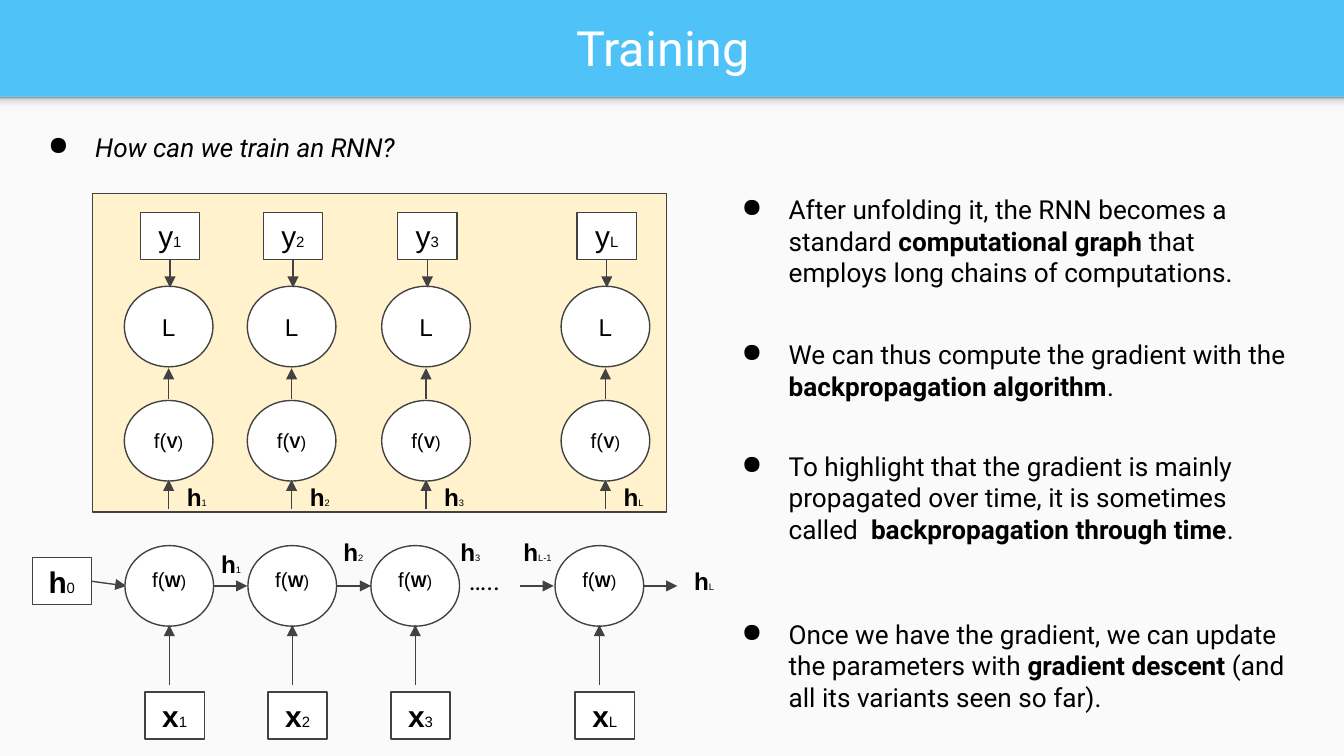
from lxml import etree
from pptx import Presentation
from pptx.dml.color import RGBColor
from pptx.enum.shapes import MSO_CONNECTOR, MSO_SHAPE
from pptx.enum.text import MSO_ANCHOR as Anchor, PP_ALIGN as Align
from pptx.oxml import parse_xml
from pptx.oxml.ns import nsdecls, qn
from pptx.util import Inches, Pt

CELL = Inches(0.1)  # the slide is a grid of 100 columns by 56.25 rows
COLUMNS, ROWS = 100, 56.25
COLORS = {"sky": "4FC3F7", "paper": "FAFAFA", "panel": "FFF2CC",
          "line": "424242", "white": "FFFFFF", "black": "000000"}
SHADE = [(0, "F9F9F9"), (36, "F9F9F9"), (80, "DEDEDE"), (100, "999999")]
BOTTOM, RIGHT = 2, 3

STEPS = ["1", "2", "3", "L"]
HIDDEN_CENTERS = [12.6, 21.75, 30.9, 44.6]
LOSS_CENTERS = [12.55, 21.7, 31.7, 45.05]
STATE_LABELS = [("1", 15, 39.9), ("2", 24.1, 39), ("3", 32.8, 39),
                ("L-1", 37.8, 39), ("L", 50.2, 41.1)]
NODE_WIDTH, NODE_HEIGHT = 6.6, 6
BOX_WIDTH, BOX_HEIGHT = 4.4, 3.5
HIDDEN_TOP, LOSS_TOP, OUTPUT_TOP = 40.6, 21.3, 29.8
HIDDEN_MIDDLE = HIDDEN_TOP + NODE_HEIGHT / 2

POINTS = [
    (13.4, "After unfolding it, the RNN becomes a standard",
     " computational graph", " that employs long chains of computations."),
    (24.2, "We can thus compute the gradient with the ",
     "backpropagation algorithm", "."),
    (32.5, "To highlight that the gradient is mainly propagated over time, "
     "it is sometimes called  ", "backpropagation through time", "."),
    (45, "Once we have the gradient, we can update the parameters with ",
     "gradient descent", " (and all its variants seen so far)."),
]


def grid(*cells):
    return [round(cell * CELL) for cell in cells]


def color(name):
    return RGBColor.from_string(COLORS[name])


def add_block(slide, preset, place, fill, outlined=True):
    block = slide.shapes.add_shape(preset, *grid(*place))
    block.shadow.inherit = False
    block.fill.solid()
    block.fill.fore_color.rgb = color(fill)
    if outlined:
        block.line.color.rgb = color("line")
        block.line.width = Pt(0.75)
    else:
        block.line.fill.background()
    return block


def write(shape, spans, font="Arial", ink="black", align=Align.CENTER,
          anchor=Anchor.MIDDLE, wrap=True):
    """Fill the first paragraph; each span is (text, font attributes)."""
    frame = shape.text_frame
    frame.word_wrap, frame.vertical_anchor = wrap, anchor
    for side in ("left", "top", "right", "bottom"):
        setattr(frame, f"margin_{side}", CELL)
    para = frame.paragraphs[0]
    para.alignment = align
    for text, looks in spans:
        span = para.add_run()
        span.text = text
        span.font.color.rgb = color(ink)
        for name, value in {"name": font, **looks}.items():
            setattr(span.font, name, value)
    return para


def add_text(slide, place, spans, **options):
    box = slide.shapes.add_textbox(*grid(*place))
    return write(box, spans, **{"anchor": Anchor.TOP, **options})


def add_bullet(slide, place, spans):
    para = add_text(slide, place, spans, font="Roboto", align=Align.LEFT)
    props = para._p.get_or_add_pPr()
    props.set("marL", str(Inches(0.5)))
    props.set("indent", str(Inches(-0.35)))
    ink = etree.SubElement(etree.SubElement(props, qn("a:buClr")), qn("a:srgbClr"))
    ink.set("val", COLORS["black"])
    etree.SubElement(props, qn("a:buChar")).set("char", "●")


def add_arrow(slide, start, end, source=None, side=BOTTOM):
    arrow = slide.shapes.add_connector(MSO_CONNECTOR.STRAIGHT, *grid(*start, *end))
    if source is not None:
        arrow.begin_connect(source, side)
    arrow.line.color.rgb = color("line")
    arrow.line.width = Pt(0.75)
    arrow.line._get_or_add_ln().append(
        parse_xml(f'<a:tailEnd {nsdecls("a")} type="triangle"/>'))
    etree.SubElement(arrow._element.spPr, qn("a:effectLst"))


def indexed(letter, index, size, small, bold=True):
    return [(letter, {"size": Pt(size), "bold": bold}),
            (index, {"size": Pt(small), "bold": False})]


def add_box(slide, center, top, letter, index, bold=True):
    place = (center - BOX_WIDTH / 2, top, BOX_WIDTH, BOX_HEIGHT)
    box = add_block(slide, MSO_SHAPE.RECTANGLE, place, "white")
    write(box, indexed(letter, index, 16, 8, bold))
    return box


def add_node(slide, center, top, spans, lift=0):
    """Draw a round node; lift raises its text by that many rows."""
    place = (center - NODE_WIDTH / 2, top, NODE_WIDTH, NODE_HEIGHT)
    node = add_block(slide, MSO_SHAPE.OVAL, place, "white")
    write(node, spans, wrap=False)
    node.text_frame.margin_bottom = round((1 + 2 * lift) * CELL)


def function_of(weights):
    return [("f(", {"size": Pt(11)}), (weights, {"size": Pt(9), "bold": True}),
            (")", {"size": Pt(9)})]


def add_state_label(slide, index, left, top):
    add_text(slide, (left, top, 4.4, 4.2), indexed("h", index, 13, 5))


def add_backdrop(slide):
    slide.background.fill.solid()
    slide.background.fill.fore_color.rgb = color("sky")
    add_block(slide, MSO_SHAPE.RECTANGLE, (0, 7.2, COLUMNS, ROWS - 7.2), "paper", False)
    strip = add_block(slide, MSO_SHAPE.RECTANGLE, (0, 7.2, COLUMNS, 1.2), "paper", False)
    stops = "".join(f'<a:gs pos="{share * 1000}"><a:srgbClr val="{tone}"/></a:gs>'
                    for share, tone in SHADE)
    props = strip._element.spPr
    props.replace(props.find(qn("a:solidFill")), parse_xml(
        f'<a:gradFill {nsdecls("a")}><a:gsLst>{stops}</a:gsLst>'
        '<a:lin ang="16200000" scaled="0"/></a:gradFill>'))


def add_hidden_chain(slide):
    start = add_box(slide, 4.6, 41.5, "h", "0")
    add_arrow(slide, (6.8, HIDDEN_MIDDLE), (9.4, HIDDEN_MIDDLE), start, RIGHT)
    for index, center in zip(STEPS, HIDDEN_CENTERS):
        add_node(slide, center, HIDDEN_TOP, function_of("W"), lift=0.5)
        add_box(slide, center + 0.4, 51.5, "x", index)
        add_arrow(slide, (center, 51), (center, 46.5))
    for left in (15.9, 25.1, 38.7, 47.9):
        add_arrow(slide, (left, HIDDEN_MIDDLE), (left + 2.5, HIDDEN_MIDDLE))
    for label in STATE_LABELS:
        add_state_label(slide, *label)
    add_text(slide, (33.9, 41, 5.1, 4.4), [("…..", {"size": Pt(14)})],
             font="Roboto", align=Align.LEFT)


def add_loss_panel(slide):
    add_block(slide, MSO_SHAPE.RECTANGLE, (6.9, 14.4, 42.7, 23.7), "panel")
    for index, center in zip(STEPS, LOSS_CENTERS):
        add_node(slide, center, LOSS_TOP, [("L", {"size": Pt(13)})])
        add_node(slide, center, OUTPUT_TOP, function_of("V"))
        target = add_box(slide, center + 0.1, 15.8, "y", index, bold=False)
        add_arrow(slide, (center, 19.3), (center + 0.1, 21.4), target)
        add_arrow(slide, (center, 29.7), (center, 27.4))
        add_arrow(slide, (center, 37.9), (center, 35.7))
        add_state_label(slide, index, center - 0.1, 34.9)


def main():
    deck = Presentation()
    deck.slide_width, deck.slide_height = grid(COLUMNS, ROWS)
    slide = deck.slides.add_slide(deck.slide_layouts[6])
    add_backdrop(slide)
    add_text(slide, (1.1, 0.2, 96.5, 6.6), [("Training", {"size": Pt(26)})],
             font="Roboto", ink="white", anchor=Anchor.MIDDLE)
    add_bullet(slide, (1.1, 8.8, 96.5, 4.4),
               [("How can we train an RNN?", {"size": Pt(14), "italic": True})])
    add_loss_panel(slide)
    add_hidden_chain(slide)
    for top, before, key, after in POINTS:
        add_bullet(slide, (52.7, top, 44.6, 9.1),
                   [(text, {"size": Pt(14), "bold": text == key})
                    for text in (before, key, after)])
    deck.save("out.pptx")


if __name__ == "__main__":
    main()
